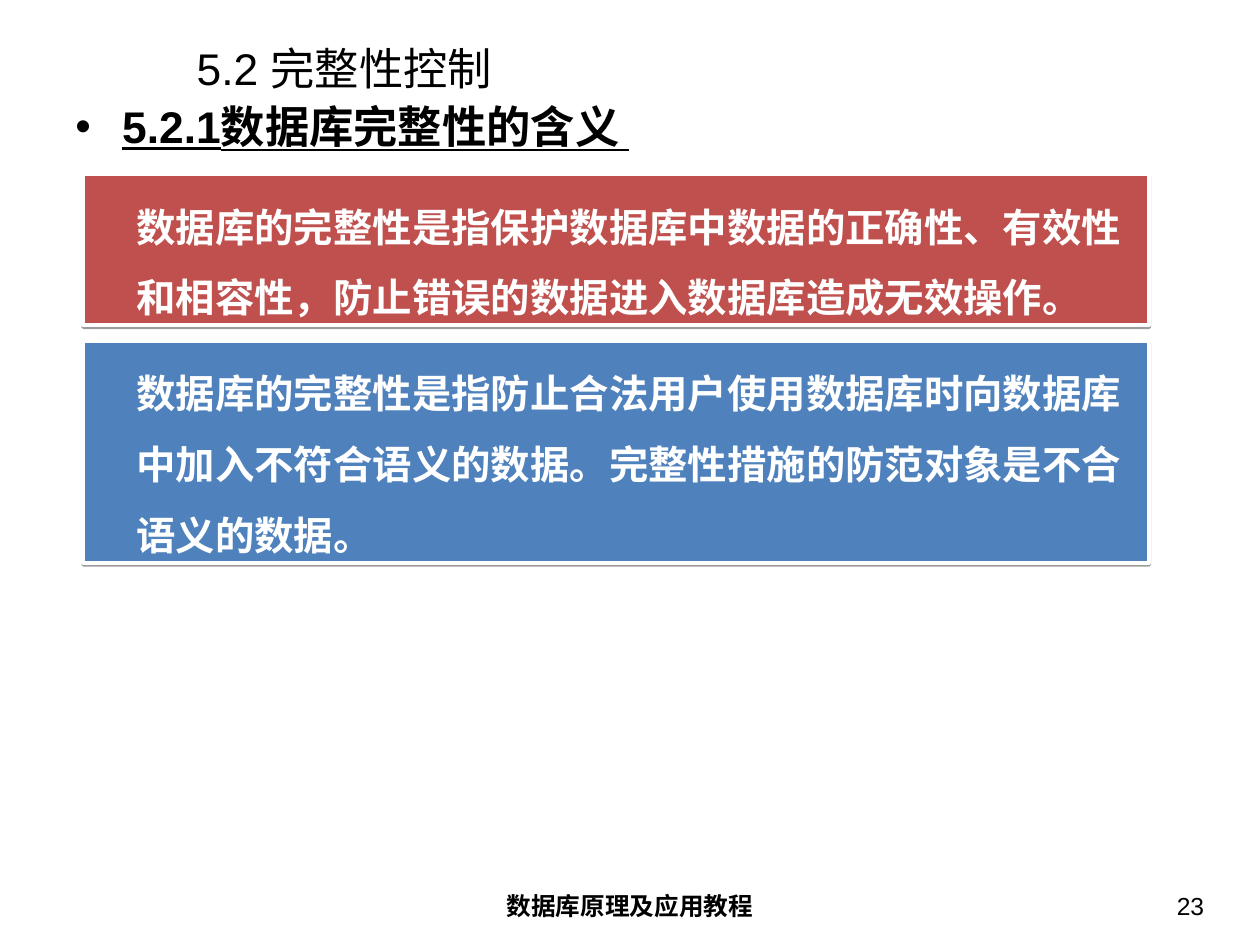
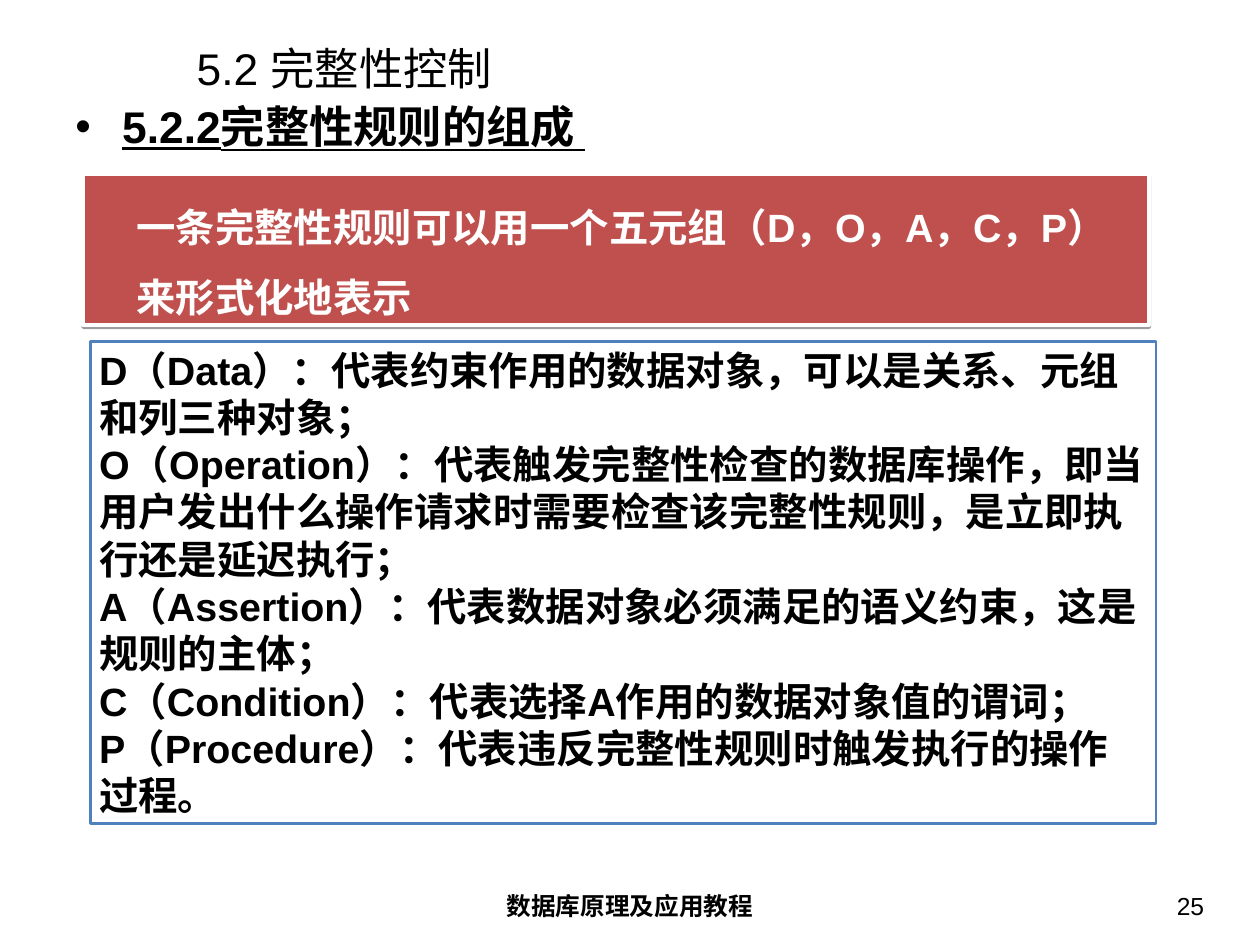
from lxml.etree import SubElement
from pptx import Presentation
from pptx.dml.color import RGBColor
from pptx.enum.shapes import MSO_SHAPE
from pptx.enum.text import MSO_ANCHOR, MSO_AUTO_SIZE, PP_ALIGN
from pptx.oxml.ns import qn
from pptx.util import Inches, Pt

BLACK = RGBColor(0x00, 0x00, 0x00)
WHITE = RGBColor(0xFF, 0xFF, 0xFF)
RED = RGBColor(0xC0, 0x50, 0x4D)
BLUE = RGBColor(0x4F, 0x81, 0xBD)

FONT = "Arial"
TITLE = "5.2 完整性控制"
FOOTER = "数据库原理及应用教程"
TEXT_INSETS = (0.14, 0.07)
PANEL_INSETS = (0.1, 0.05)
PANEL_LEFT, PANEL_WIDTH = 0.94, 12.03
FOOTER_TOP, FOOTER_HEIGHT = 9.98, 0.55


def write(sp, *paragraphs, size=32, color=BLACK, bold=False, underline=False,
          align=PP_ALIGN.LEFT, anchor=MSO_ANCHOR.TOP, insets=TEXT_INSETS,
          spacing=None, margin=0, hanging=0, bullet=None):
    tf = sp.text_frame
    tf.word_wrap = True
    tf.vertical_anchor = anchor
    tf.margin_left = tf.margin_right = Inches(insets[0])
    tf.margin_top = tf.margin_bottom = Inches(insets[1])
    for i, text in enumerate(paragraphs):
        p = tf.paragraphs[0] if i == 0 else tf.add_paragraph()
        p.alignment = align
        if spacing:
            p.line_spacing = spacing
        props = p._p.get_or_add_pPr()
        props.set("marL", str(Inches(margin)))
        props.set("indent", str(-Inches(hanging)))
        if bullet:
            SubElement(props, qn("a:buFont"), typeface=FONT)
            SubElement(props, qn("a:buChar"), char=bullet)
        r = p.add_run()
        r.text = text
        r.font.name = FONT
        r.font.size = Pt(size)
        r.font.bold = bold
        r.font.underline = underline
        r.font.color.rgb = color


def add_text(slide, left, top, width, height, text, **style):
    sp = slide.shapes.add_textbox(Inches(left), Inches(top),
                                  Inches(width), Inches(height))
    write(sp, text, **style)


def add_panel(slide, left, top, height, fill, line, line_width):
    sp = slide.shapes.add_shape(MSO_SHAPE.RECTANGLE, Inches(left), Inches(top),
                                Inches(PANEL_WIDTH), Inches(height))
    sp.shadow.inherit = False
    sp.fill.solid()
    sp.fill.fore_color.rgb = fill
    sp.line.color.rgb = line
    sp.line.width = Pt(line_width)
    sp.text_frame.auto_size = MSO_AUTO_SIZE.SHAPE_TO_FIT_TEXT
    return sp


def add_shadow(sp):
    effects = sp._element.spPr.find(qn("a:effectLst"))
    shadow = SubElement(effects, qn("a:outerShdw"), blurRad="0",
                        dist=str(Pt(1.6)), dir="5400000", rotWithShape="0")
    color = SubElement(shadow, qn("a:srgbClr"), val=str(BLACK))
    SubElement(color, qn("a:alpha"), val="38000")


def add_statement(slide, top, height, fill, text):
    """Coloured panel with a white border and widely spaced white text."""
    sp = add_panel(slide, PANEL_LEFT, top, height, fill, WHITE, 3)
    add_shadow(sp)
    write(sp, text, color=WHITE, bold=True, insets=PANEL_INSETS,
          spacing=1.5, margin=0.5)


def add_definitions(slide, top, height, *definitions):
    """White panel with a blue border and one paragraph per definition."""
    sp = add_panel(slide, 1.02, top, height, WHITE, BLUE, 2)
    write(sp, *definitions, bold=True, insets=PANEL_INSETS)


def add_section_slide(prs, heading, number, statement):
    """Slide with title, heading, red statement and footer."""
    slide = prs.slides.add_slide(prs.slide_layouts[6])
    add_text(slide, 2.08, 0.48, 11.83, 0.57, TITLE, size=36,
             anchor=MSO_ANCHOR.MIDDLE)
    add_text(slide, 0.71, 1.05, 12.8, 0.89, heading, size=36, bold=True,
             underline=True, margin=0.53, hanging=0.53, bullet="•")
    add_statement(slide, 1.97, 1.7, RED, statement)
    add_text(slide, 4.86, FOOTER_TOP, 4.5, FOOTER_HEIGHT, FOOTER, size=20,
             bold=True, align=PP_ALIGN.CENTER)
    add_text(slide, 10.41, FOOTER_TOP, 3.32, FOOTER_HEIGHT, str(number),
             size=20, align=PP_ALIGN.RIGHT)
    return slide


def main():
    prs = Presentation()
    prs.slide_width, prs.slide_height = Inches(14.22), Inches(10.66)

    meaning = add_section_slide(
        prs, "5.2.1数据库完整性的含义 ", 23,
        "数据库的完整性是指保护数据库中数据的正确性、有效性和相容性，"
        "防止错误的数据进入数据库造成无效操作。")
    add_statement(
        meaning, 3.85, 2.5, BLUE,
        "数据库的完整性是指防止合法用户使用数据库时向数据库中加入不符合语义的数据。"
        "完整性措施的防范对象是不合语义的数据。")

    rules = add_section_slide(
        prs, "5.2.2完整性规则的组成 ", 25,
        "一条完整性规则可以用一个五元组（D，O，A，C，P）来形式化地表示")
    add_definitions(
        rules, 3.85, 5.44,
        "D（Data）：代表约束作用的数据对象，可以是关系、元组和列三种对象；",
        "O（Operation）：代表触发完整性检查的数据库操作，即当用户发出什么操作请求时"
        "需要检查该完整性规则，是立即执行还是延迟执行；",
        "A（Assertion）：代表数据对象必须满足的语义约束，这是规则的主体；",
        "C（Condition）：代表选择A作用的数据对象值的谓词；",
        "P（Procedure）：代表违反完整性规则时触发执行的操作过程。")

    prs.save("out.pptx")


if __name__ == "__main__":
    main()
